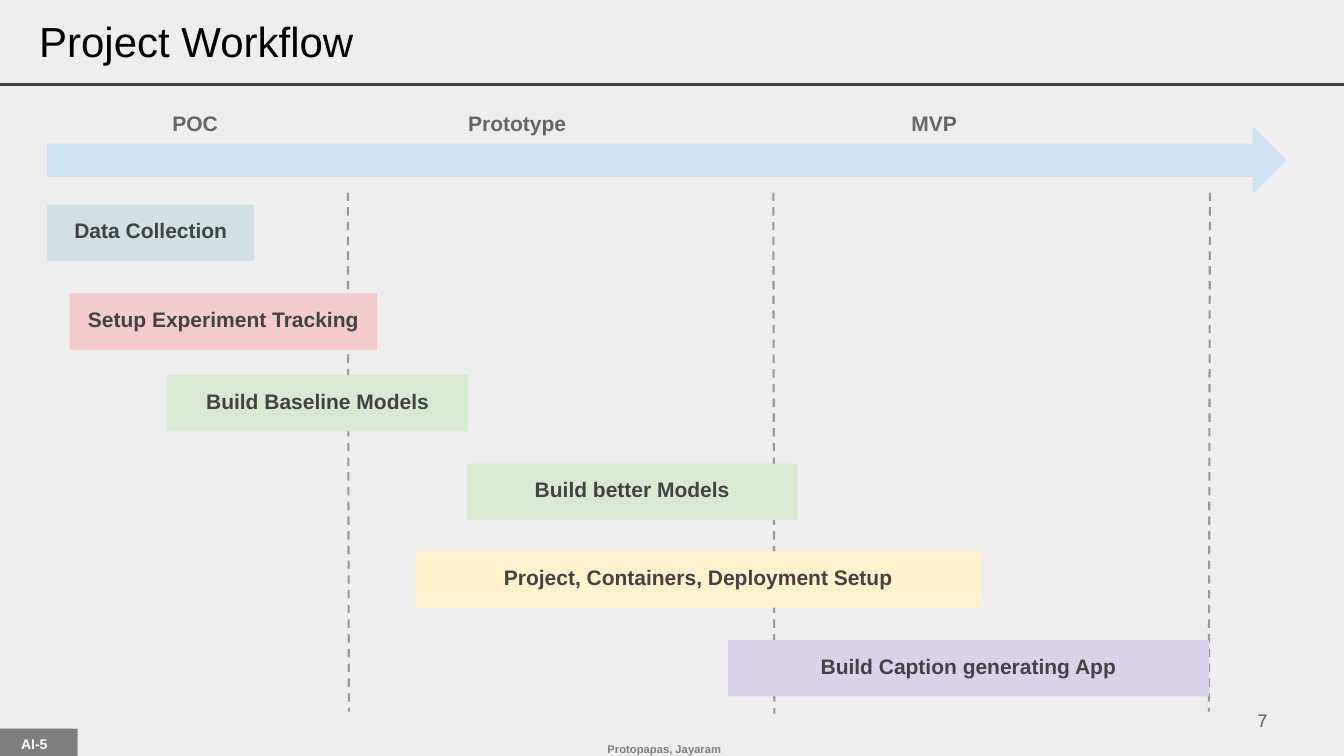
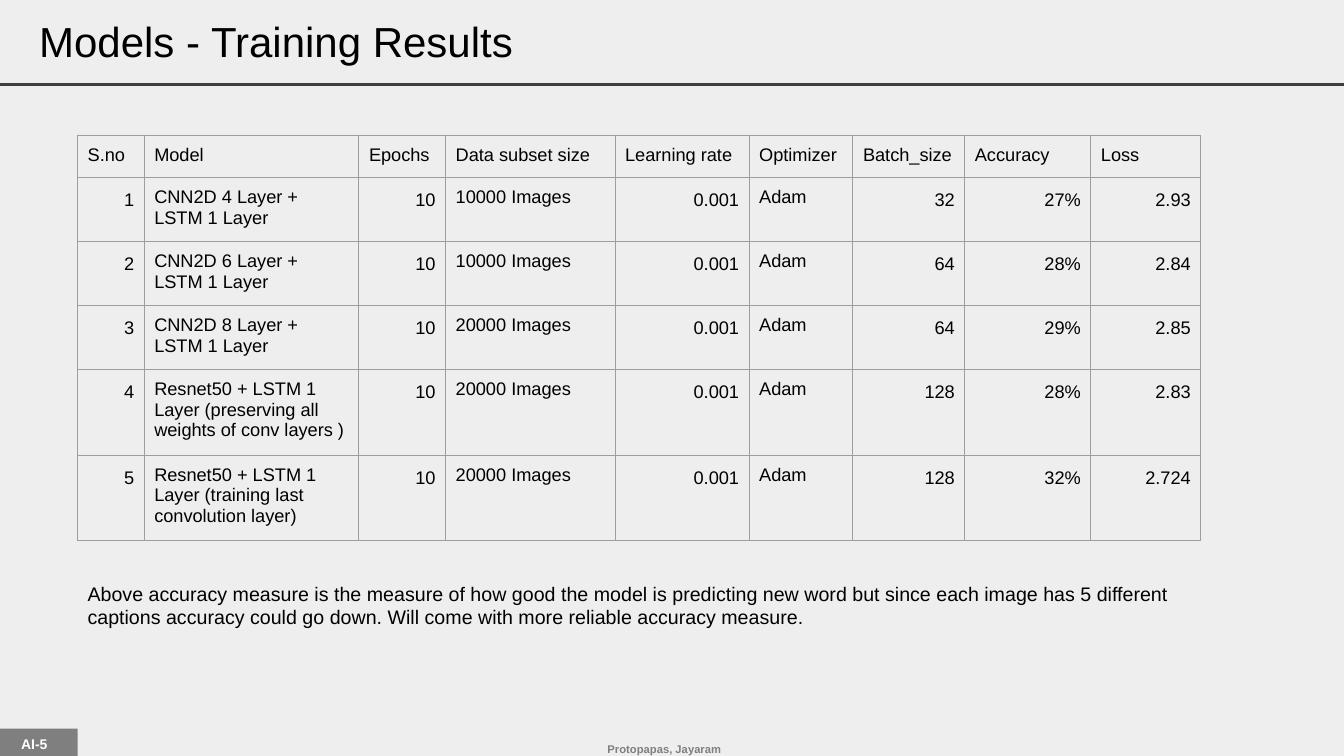
from dataclasses import dataclass

from lxml.etree import SubElement
from pptx import Presentation
from pptx.dml.color import RGBColor
from pptx.enum.dml import MSO_LINE
from pptx.enum.shapes import MSO_CONNECTOR, MSO_SHAPE
from pptx.enum.text import MSO_ANCHOR, PP_ALIGN
from pptx.oxml import parse_xml
from pptx.oxml.ns import nsdecls, qn
from pptx.shapes.autoshape import Shape
from pptx.slide import Slide
from pptx.table import _Cell
from pptx.text.text import TextFrame
from pptx.util import Inches, Pt

FONT = "Arial"
SLIDE_WIDTH, SLIDE_HEIGHT = 13.33, 7.5
COLORS = {
    "background": "EEEEEE",
    "rule": "3F3F3F",
    "footer": "7F7F7F",
    "white": "FFFFFF",
    "black": "000000",
    "arrow": "CFE2F3",
    "phase": "666666",
    "divider": "999999",
    "task": "434343",
    "page": "595959",
    "border": "9E9E9E",
    "data": "D0E0E3",
    "tracking": "F4CCCC",
    "models": "D9EAD3",
    "deployment": "FFF2CC",
    "app": "D9D2E9",
}


@dataclass(frozen=True)
class Box:
    left: float
    top: float
    width: float
    height: float

    def lengths(self) -> tuple[Inches, ...]:
        return tuple(map(Inches, (self.left, self.top, self.width, self.height)))


@dataclass(frozen=True)
class TextStyle:
    size: int
    color: str
    bold: bool = False
    align: PP_ALIGN = PP_ALIGN.LEFT
    anchor: MSO_ANCHOR = MSO_ANCHOR.TOP
    inset_x: float = 0.1
    inset_y: float = 0.1
    spacing: float = 1.0


@dataclass(frozen=True)
class Phase:
    name: str
    left: float
    width: float
    end_top_x: float
    end_bottom_x: float
    end_y: float


@dataclass(frozen=True)
class Task:
    name: str
    left: float
    top: float
    width: float
    color: str


@dataclass(frozen=True)
class Column:
    heading: str
    width: float
    numeric: bool = True


CENTER, RIGHT, MIDDLE = PP_ALIGN.CENTER, PP_ALIGN.RIGHT, MSO_ANCHOR.MIDDLE
TITLE = TextStyle(30, "black", inset_y=0.05)
BADGE = TextStyle(10, "white", True, CENTER, inset_y=0.05, spacing=0.9)
CREDIT = TextStyle(8, "footer", True, CENTER, MIDDLE)
PHASE = TextStyle(15, "phase", True, CENTER, MIDDLE, 0, 0)
TASK = TextStyle(15, "task", True, CENTER, inset_x=0.13, inset_y=0.13)
PAGE = TextStyle(13, "page", align=RIGHT, anchor=MIDDLE, inset_y=0.05)
CELL = TextStyle(13, "black")
NUMBER = TextStyle(13, "black", align=RIGHT, spacing=1.15)
NOTE = TextStyle(14, "black")

PHASES = [
    Phase("POC", 1.57, 0.73, 3.45, 3.46, 7.06),
    Phase("Prototype", 4.51, 1.24, 7.67, 7.68, 7.08),
    Phase("MVP", 8.9, 0.73, 12, 11.99, 7.06),
]
TASKS = [
    Task("Data Collection", 0.47, 2.03, 2.05, "data"),
    Task("Setup Experiment Tracking", 0.69, 2.91, 3.05, "tracking"),
    Task("Build Baseline Models", 1.66, 3.72, 2.98, "models"),
    Task("Build better Models", 4.63, 4.6, 3.28, "models"),
    Task("Project, Containers, Deployment Setup", 4.12, 5.47, 5.61, "deployment"),
    Task("Build Caption generating App", 7.22, 6.35, 4.77, "app"),
]
COLUMNS = [
    Column("S.no", 0.66),
    Column("Model", 2.13, numeric=False),
    Column("Epochs", 0.86),
    Column("Data subset size", 1.68, numeric=False),
    Column("Learning rate", 1.33),
    Column("Optimizer", 1.03, numeric=False),
    Column("Batch_size", 1.11),
    Column("Accuracy", 1.25),
    Column("Loss", 1.09),
]
# Model, images, batch size, accuracy, loss
RUNS = [
    ("CNN2D 4 Layer + LSTM 1 Layer", 10000, 32, "27%", "2.93"),
    ("CNN2D 6 Layer + LSTM 1 Layer", 10000, 64, "28%", "2.84"),
    ("CNN2D 8 Layer + LSTM 1 Layer", 20000, 64, "29%", "2.85"),
    ("Resnet50 + LSTM 1 Layer (preserving all weights of conv layers )",
     20000, 128, "28%", "2.83"),
    ("Resnet50 + LSTM 1 Layer (training last convolution layer)",
     20000, 128, "32%", "2.724"),
]
ACCURACY_NOTE = (
    "Above accuracy measure is the measure of how good the model is predicting "
    "new word but since each image has 5 different captions accuracy could go "
    "down. Will come with more reliable accuracy measure."
)


def rgb(color: str) -> RGBColor:
    return RGBColor.from_string(COLORS[color])


def write(frame: TextFrame, text: str, style: TextStyle) -> None:
    frame.text = text
    paragraph = frame.paragraphs[0]
    paragraph.alignment = style.align
    paragraph.line_spacing = style.spacing
    font = paragraph.font
    font.name, font.size, font.bold = FONT, Pt(style.size), style.bold
    font.color.rgb = rgb(style.color)


def fit_text(shape: Shape, text: str, style: TextStyle) -> None:
    frame = shape.text_frame
    frame.word_wrap = True
    frame.vertical_anchor = style.anchor
    frame.margin_left = frame.margin_right = Inches(style.inset_x)
    frame.margin_top = frame.margin_bottom = Inches(style.inset_y)
    write(frame, text, style)


def add_text(slide: Slide, box: Box, text: str, style: TextStyle) -> None:
    fit_text(slide.shapes.add_textbox(*box.lengths()), text, style)


def add_block(slide: Slide, box: Box, color: str,
              preset: MSO_SHAPE = MSO_SHAPE.RECTANGLE) -> Shape:
    block = slide.shapes.add_shape(preset, *box.lengths())
    block.shadow.inherit = False
    block.fill.solid()
    block.fill.fore_color.rgb = rgb(color)
    block.line.fill.background()
    return block


def add_line(slide: Slide, start: tuple[float, float], end: tuple[float, float],
             color: str, width: float, dash: MSO_LINE | None = None) -> None:
    line = slide.shapes.add_connector(
        MSO_CONNECTOR.STRAIGHT, *map(Inches, (*start, *end)))
    line.line.color.rgb = rgb(color)
    line.line.width = Pt(width)
    line.line.dash_style = dash
    SubElement(line._element.spPr, qn("a:effectLst"))


def add_borders(cell: _Cell) -> None:
    properties = cell._tc.get_or_add_tcPr()
    for position, side in enumerate("LRTB"):
        properties.insert(position, parse_xml(
            f'<a:ln{side} {nsdecls("a")} w="{Pt(0.75)}"><a:solidFill>'
            f'<a:srgbClr val="{COLORS["border"]}"/></a:solidFill></a:ln{side}>'))


def start_slide(deck: Presentation, title: str) -> Slide:
    slide = deck.slides.add_slide(deck.slide_layouts[6])
    slide.background.fill.solid()
    slide.background.fill.fore_color.rgb = rgb("background")
    # Header rule and footer
    add_line(slide, (0, 0.84), (SLIDE_WIDTH, 0.84), "rule", 2.25)
    add_block(slide, Box(-0.05, 7.23, 0.82, 0.3), "footer")
    add_text(slide, Box(-0.1, 7.27, 0.88, 0.35), "AI-5", BADGE)
    add_text(slide, Box(4.95, 7.26, 3.28, 0.34), "Protopapas, Jayaram", CREDIT)
    add_text(slide, Box(0.29, 0.1, 11.79, 0.75), title, TITLE)
    return slide


def build_workflow(deck: Presentation) -> None:
    slide = start_slide(deck, "Project Workflow")
    # Phase dividers, behind the timeline
    for phase in PHASES:
        add_line(slide, (phase.end_top_x, 1.91), (phase.end_bottom_x, phase.end_y),
                 "divider", 1.5, MSO_LINE.DASH)
    # Timeline arrow and phase names
    arrow = add_block(slide, Box(0.47, 1.27, 12.28, 0.64), "arrow",
                      MSO_SHAPE.RIGHT_ARROW)
    arrow.line.color.rgb = rgb("arrow")
    arrow.line.width = Pt(0.75)
    for phase in PHASES:
        add_text(slide, Box(phase.left, 1.09, phase.width, 0.27), phase.name, PHASE)
    # Tasks
    for task in TASKS:
        bar = add_block(slide, Box(task.left, task.top, task.width, 0.56), task.color)
        fit_text(bar, task.name, TASK)
    add_text(slide, Box(9.56, 6.95, 3.11, 0.4), "7", PAGE)


def build_results(deck: Presentation) -> None:
    slide = start_slide(deck, "Models - Training Results")
    rows = [[column.heading for column in COLUMNS]]
    for number, (model, images, batch, accuracy, loss) in enumerate(RUNS, 1):
        rows.append([str(number), model, "10", f"{images} Images", "0.001",
                     "Adam", str(batch), accuracy, loss])
    # Results table
    row_height = 0.42
    box = Box(0.77, 1.34, sum(column.width for column in COLUMNS),
              row_height * len(rows))
    table = slide.shapes.add_table(len(rows), len(COLUMNS), *box.lengths()).table
    table.first_row = table.horz_banding = False
    for position, column in enumerate(COLUMNS):
        table.columns[position].width = Inches(column.width)
    for row_index, values in enumerate(rows):
        table.rows[row_index].height = Inches(row_height)
        for position, (column, value) in enumerate(zip(COLUMNS, values)):
            cell = table.cell(row_index, position)
            style = NUMBER if row_index and column.numeric else CELL
            cell.margin_left = cell.margin_right = Inches(style.inset_x)
            cell.margin_top = cell.margin_bottom = Inches(style.inset_y)
            cell.fill.background()
            add_borders(cell)
            write(cell.text_frame, value, style)
    # Remark on accuracy
    add_text(slide, Box(0.77, 5.67, 11.13, 0.67), ACCURACY_NOTE, NOTE)


def main() -> None:
    deck = Presentation()
    deck.slide_width = Inches(SLIDE_WIDTH)
    deck.slide_height = Inches(SLIDE_HEIGHT)
    build_workflow(deck)
    build_results(deck)
    deck.save("out.pptx")


if __name__ == "__main__":
    main()
